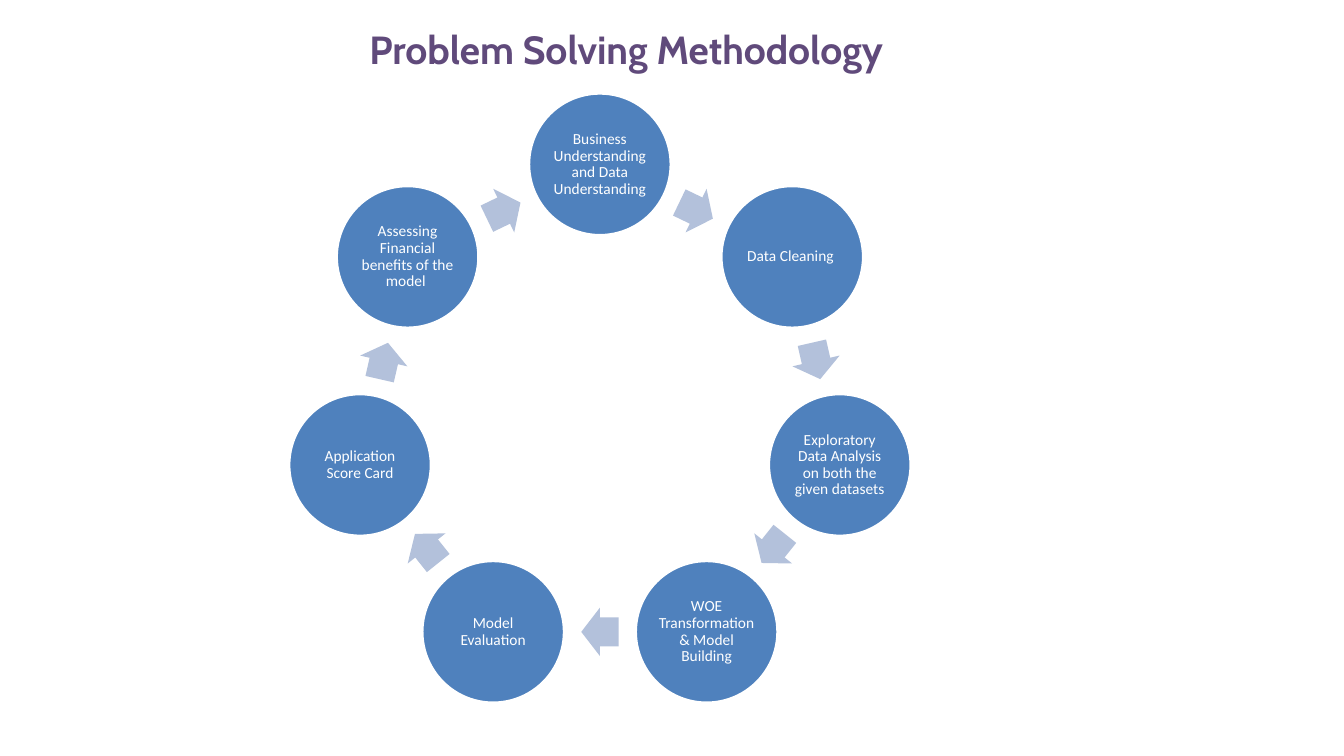
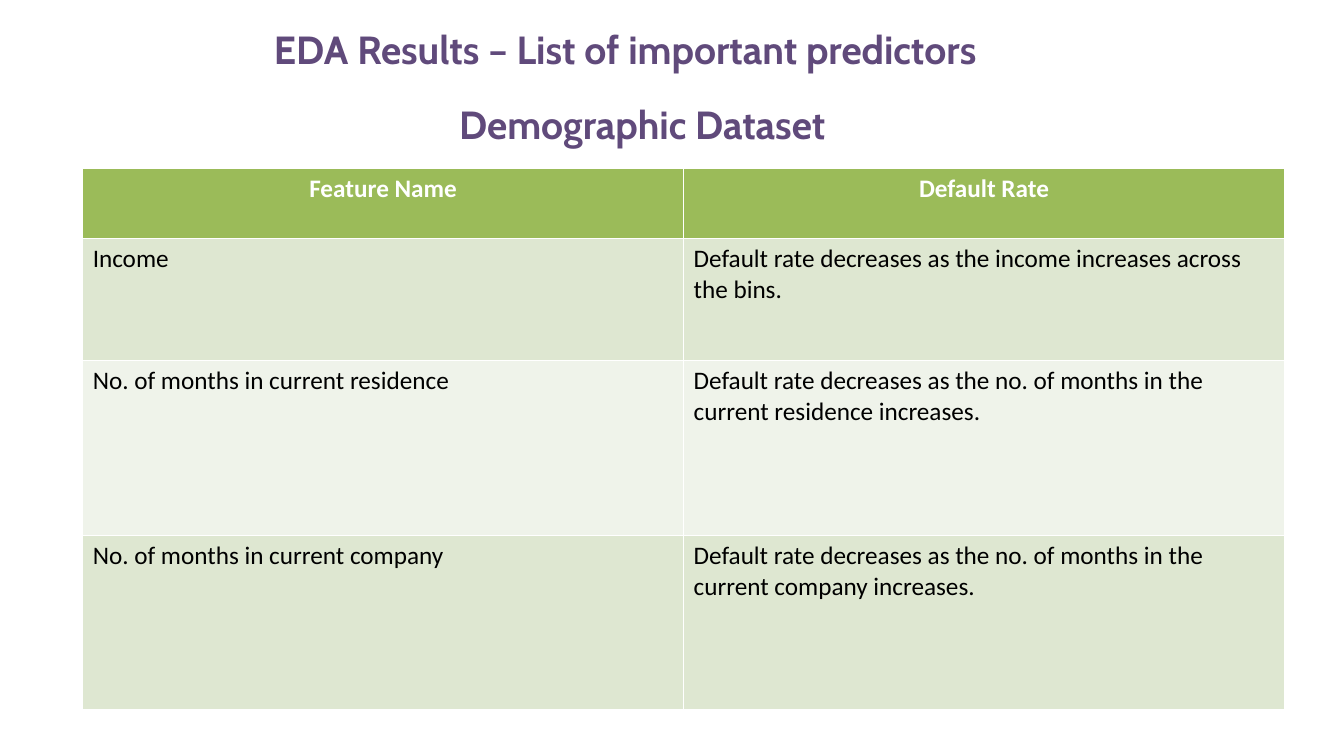
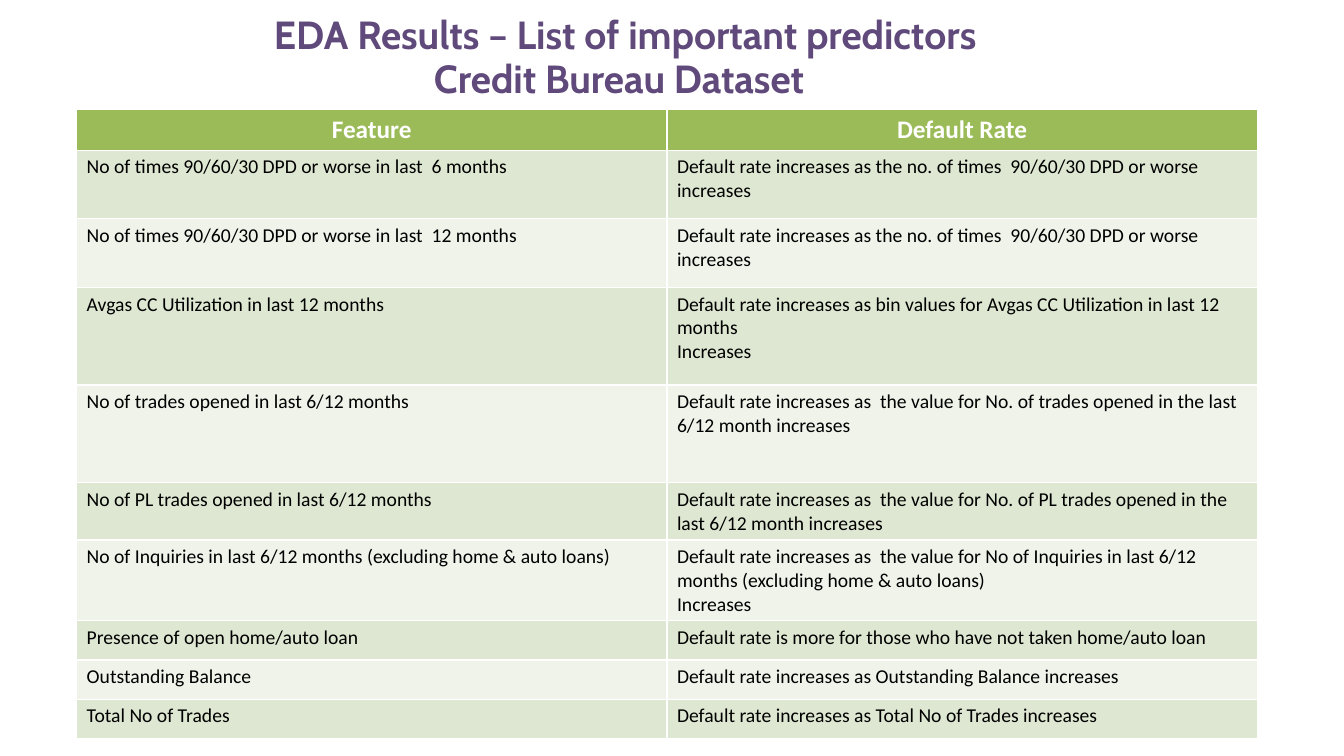
from math import cos, pi, sin

from pptx import Presentation
from pptx.dml.color import RGBColor
from pptx.enum.shapes import MSO_SHAPE
from pptx.enum.text import MSO_ANCHOR, MSO_AUTO_SIZE, PP_ALIGN
from pptx.util import Inches, Pt

PURPLE = RGBColor(0x60, 0x4A, 0x7B)
BLUE = RGBColor(0x4F, 0x81, 0xBD)
PALE_BLUE = RGBColor(0xB3, 0xC1, 0xDB)
GREEN = RGBColor(0x9B, 0xBB, 0x59)
LIGHT_GREEN = RGBColor(0xDE, 0xE7, 0xD1)
PALE_GREEN = RGBColor(0xEF, 0xF3, 0xEA)
WHITE = RGBColor(0xFF, 0xFF, 0xFF)
BLACK = RGBColor(0x00, 0x00, 0x00)

HEADING_FONT = "Cabin"
BODY_FONT = "Calibri"
TITLE_ONLY_LAYOUT = 5

STEPS = [
    "Business Understanding and Data Understanding",
    "Data Cleaning ",
    "Exploratory Data Analysis on both the given datasets",
    "WOE Transformation & Model Building",
    "Model Evaluation",
    "Application Score Card",
    "Assessing Financial benefits of the model ",
]

DEMOGRAPHIC_ROWS = [
    ("Feature Name", "Default Rate"),
    ("Income", "Default rate decreases as the income increases across the bins."),
    ("No. of months in current residence",
     "Default rate decreases as the no. of months in the current residence increases."),
    ("No. of months in current company",
     "Default rate decreases as the no. of months in the current company increases."),
]

CREDIT_ROWS = [
    ("Feature", "Default Rate"),
    ("No of times 90/60/30 DPD or worse in last  6 months",
     "Default rate increases as the no. of times  90/60/30 DPD or worse increases"),
    ("No of times 90/60/30 DPD or worse in last  12 months",
     "Default rate increases as the no. of times  90/60/30 DPD or worse increases"),
    ("Avgas CC Utilization in last 12 months",
     "Default rate increases as bin values for Avgas CC Utilization in last 12 months\nIncreases"),
    ("No of trades opened in last 6/12 months",
     "Default rate increases as  the value for No. of trades opened in the last 6/12 month increases"),
    ("No of PL trades opened in last 6/12 months",
     "Default rate increases as  the value for No. of PL trades opened in the last 6/12 month increases"),
    ("No of Inquiries in last 6/12 months (excluding home & auto loans)",
     "Default rate increases as  the value for No of Inquiries in last 6/12 months "
     "(excluding home & auto loans)\nIncreases"),
    ("Presence of open home/auto loan",
     "Default rate is more for those who have not taken home/auto loan"),
    ("Outstanding Balance", "Default rate increases as Outstanding Balance increases"),
    ("Total No of Trades", "Default rate increases as Total No of Trades increases"),
]


def write(frame, text, size=18, font=BODY_FONT, color=BLACK, bold=False,
          align=PP_ALIGN.LEFT, spacing=1.0):
    for index, line in enumerate(text.split("\n")):
        para = frame.add_paragraph() if index else frame.paragraphs[0]
        para.alignment = align
        para.line_spacing = spacing
        span = para.add_run()
        span.text = line
        span.font.size = Pt(size)
        span.font.name = font
        span.font.bold = bold
        span.font.color.rgb = color


class Deck:
    def __init__(self):
        self.file = Presentation()
        self.file.slide_width = Inches(13.33)
        self.file.slide_height = Inches(7.5)
        self.page = None

    def add_page(self, title, left, top, width):
        self.page = self.file.slides.add_slide(self.file.slide_layouts[TITLE_ONLY_LAYOUT])
        box = self.page.shapes.title
        box.left, box.top = Inches(left), Inches(top)
        box.width, box.height = Inches(width), Inches(0.53)
        self.write_heading(box, title)

    def add_subtitle(self, text, left, top, width):
        box = self.page.shapes.add_textbox(
            Inches(left), Inches(top), Inches(width), Inches(0.53))
        self.write_heading(box, text)

    def write_heading(self, box, text):
        frame = box.text_frame
        frame.word_wrap = False
        frame.auto_size = MSO_AUTO_SIZE.SHAPE_TO_FIT_TEXT
        frame.vertical_anchor = MSO_ANCHOR.TOP
        write(frame, text, size=28, font=HEADING_FONT, color=PURPLE, bold=True,
              align=PP_ALIGN.CENTER, spacing=0.9)

    def add_centred(self, kind, center_x, center_y, width, height, color):
        shape = self.page.shapes.add_shape(
            kind, Inches(center_x - width / 2), Inches(center_y - height / 2),
            Inches(width), Inches(height))
        shape.shadow.inherit = False
        shape.fill.solid()
        shape.fill.fore_color.rgb = color
        return shape

    def add_step(self, text, center_x, center_y):
        circle = self.add_centred(MSO_SHAPE.OVAL, center_x, center_y, 1.41, 1.41, BLUE)
        circle.line.color.rgb = WHITE
        circle.line.width = Pt(2)
        frame = circle.text_frame
        frame.word_wrap = True
        frame.vertical_anchor = MSO_ANCHOR.MIDDLE
        frame.margin_left = frame.margin_right = Inches(0.02)
        frame.margin_top = frame.margin_bottom = Inches(0.02)
        write(frame, text, size=11, color=WHITE, align=PP_ALIGN.CENTER, spacing=0.9)

    def add_arrow(self, center_x, center_y, rotation):
        arrow = self.add_centred(
            MSO_SHAPE.RIGHT_ARROW, center_x, center_y, 0.37, 0.48, PALE_BLUE)
        arrow.line.fill.background()
        arrow.adjustments[0] = 0.6
        arrow.adjustments[1] = 0.5
        arrow.rotation = rotation

    def add_cycle(self, steps, center_x, center_y, radius):
        turn = 2 * pi / len(steps)
        arrow_radius = radius * cos(turn / 2)
        for index, text in enumerate(steps):
            angle = index * turn
            self.add_step(text, center_x + radius * sin(angle),
                          center_y - radius * cos(angle))
            angle += turn / 2
            self.add_arrow(center_x + arrow_radius * sin(angle),
                           center_y - arrow_radius * cos(angle),
                           (index + 0.5) * 360 / len(steps))

    def add_table(self, rows, left, top, width, heights, size):
        table = self.page.shapes.add_table(
            len(rows), len(rows[0]), Inches(left), Inches(top),
            Inches(width), Inches(sum(heights))).table
        table.horz_banding = False
        for row_index, (texts, height) in enumerate(zip(rows, heights)):
            table.rows[row_index].height = Inches(height)
            for column_index, text in enumerate(texts):
                cell = table.cell(row_index, column_index)
                cell.fill.solid()
                if row_index == 0:
                    cell.fill.fore_color.rgb = GREEN
                    write(cell.text_frame, text, color=WHITE, bold=True,
                          align=PP_ALIGN.CENTER)
                else:
                    cell.fill.fore_color.rgb = LIGHT_GREEN if row_index % 2 else PALE_GREEN
                    write(cell.text_frame, text, size=size)


def main():
    deck = Deck()

    deck.add_page("Problem Solving Methodology", 3.15, 0.25, 6.12)
    deck.add_cycle(STEPS, 5.95, 4.07, 2.44)

    results_title = "EDA Results – List of important predictors"
    deck.add_page(results_title, 2.05, 0.25, 8.3)
    deck.add_table(DEMOGRAPHIC_ROWS, 0.82, 1.67, 11.92, [0.7, 1.21, 1.73, 1.73], 18)
    deck.add_subtitle("Demographic Dataset", 4.18, 1, 4.38)

    deck.add_page(results_title, 2.05, 0.1, 8.3)
    deck.add_table(CREDIT_ROWS, 0.76, 1.09, 11.71,
                   [0.39, 0.68, 0.68, 0.97, 0.97, 0.45, 0.63, 0.39, 0.39, 0.39], 14)
    deck.add_subtitle("Credit Bureau Dataset", 3.92, 0.54, 4.44)

    deck.file.save("out.pptx")


if __name__ == "__main__":
    main()
